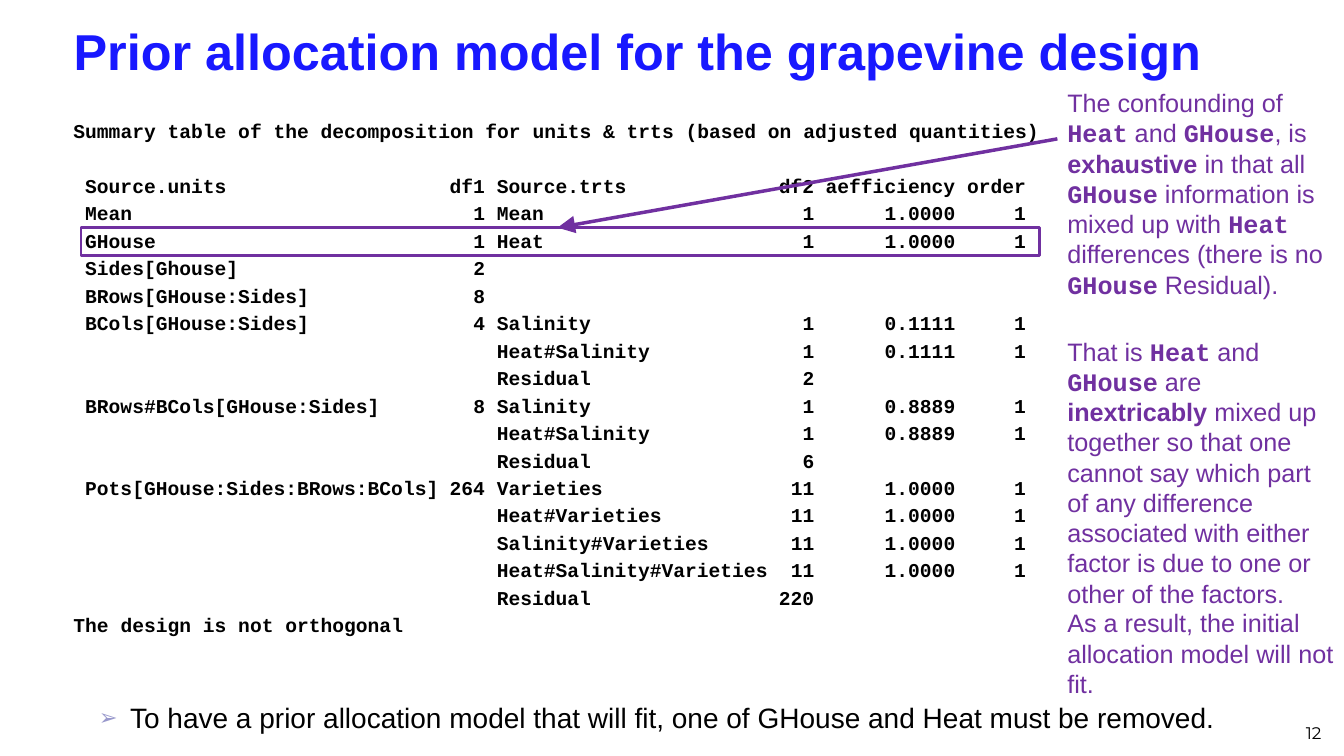
import pptx
import pptx.util
import pptx.dml.color
import pptx.enum.shapes
import pptx.enum.text
import pptx.oxml
import pptx.oxml.ns

Pt = pptx.util.Pt
ALIGN = pptx.enum.text.PP_ALIGN
ANCHOR = pptx.enum.text.MSO_ANCHOR

TITLE = "Prior allocation model for the grapevine design"
CAPTION = "Summary table of the decomposition for units & trts (based on adjusted quantities)"
ROWS = [
    ("Source.units", "df1", "Source.trts", "df2", "aefficiency", "order"),
    ("Mean", "1", "Mean", "1", "1.0000", "1"),
    ("GHouse", "1", "Heat", "1", "1.0000", "1"),
    ("Sides[Ghouse]", "2"),
    ("BRows[GHouse:Sides]", "8"),
    ("BCols[GHouse:Sides]", "4", "Salinity", "1", "0.1111", "1"),
    ("", "", "Heat#Salinity", "1", "0.1111", "1"),
    ("", "", "Residual", "2"),
    ("BRows#BCols[GHouse:Sides]", "8", "Salinity", "1", "0.8889", "1"),
    ("", "", "Heat#Salinity", "1", "0.8889", "1"),
    ("", "", "Residual", "6"),
    ("Pots[GHouse:Sides:BRows:BCols]", "264", "Varieties", "11", "1.0000", "1"),
    ("", "", "Heat#Varieties", "11", "1.0000", "1"),
    ("", "", "Salinity#Varieties", "11", "1.0000", "1"),
    ("", "", "Heat#Salinity#Varieties", "11", "1.0000", "1"),
    ("", "", "Residual", "220"),
]
FOOTNOTE = "The design is not orthogonal"
TAB_COLUMNS = [(1, "l"), (35, "r"), (36, "l"), (63, "r"), (75, "r"), (81, "r")]
BULLET = "To have a prior allocation model that will fit, one of GHouse and Heat must be removed."
NOTES = [
    (59, 160, [("The confounding of ", ""), ("Heat", "code"), (" and ", ""),
               ("GHouse", "code"), (", is ", ""), ("exhaustive", "strong"),
               (" in that all ", ""), ("GHouse", "code"),
               (" information is mixed up with ", ""), ("Heat", "code"),
               (" differences (there is no ", ""), ("GHouse", "code"),
               (" Residual).", "")]),
    (236.5, 204, [("That is ", ""), ("Heat", "code"), (" and ", ""),
                  ("GHouse", "code"), (" are ", ""), ("inextricably", "strong"),
                  (" mixed up together so that one cannot say which part of any "
                   "difference associated with either factor is due to one or "
                   "other of the factors.", "")]),
    (430.5, 73, [("As a result, the initial allocation model will not fit.", "")]),
]
COLORS = {"title": "1818FF", "text": "000000", "accent": "7030A0", "bullet": "9999CC"}
SANS, MONO, NUMBER = "Arial", "Courier New", "Montserrat"
TABLE_SIZE = 14
CHAR = TABLE_SIZE * 0.6
LINE = TABLE_SIZE * 1.2
GAP = TABLE_SIZE * 0.2


def rgb(name):
    return pptx.dml.color.RGBColor.from_string(COLORS[name])


def style(r, size, color, face=SANS, bold=False):
    r.font.size = Pt(size)
    r.font.name = face
    r.font.bold = bold
    r.font.color.rgb = rgb(color)


def place(sp, left, top, width, height, anchor=ANCHOR.TOP):
    sp.left, sp.top, sp.width, sp.height = Pt(left), Pt(top), Pt(width), Pt(height)
    tf = sp.text_frame
    tf.word_wrap = True
    tf.auto_size = pptx.enum.text.MSO_AUTO_SIZE.NONE
    tf.vertical_anchor = anchor
    return tf


def add_box(s, *bounds):
    return place(s.shapes.add_textbox(0, 0, 0, 0), *bounds)


def add_xml(parent, tag, **attrs):
    el = pptx.oxml.parse_xml(f"<a:{tag} {pptx.oxml.ns.nsdecls('a')}/>")
    for key, value in attrs.items():
        el.set(key, str(value))
    parent.append(el)
    return el


def fill_table(tf):
    lines = [CAPTION] + ["\t" + "\t".join(row) for row in ROWS] + [FOOTNOTE]
    tf.text = "\n".join(lines)
    for i, p in enumerate(tf.paragraphs):
        tabs = add_xml(p._p.get_or_add_pPr(), "tabLst")
        for column, side in TAB_COLUMNS:
            add_xml(tabs, "tab", pos=Pt(column * CHAR), algn=side)
        p.space_before = Pt((0, LINE + 2 * GAP)[i] if i < 2 else GAP)
        for r in p.runs:
            style(r, TABLE_SIZE, "text", MONO, True)


def fill_bullet(tf):
    tf.text = BULLET
    p = tf.paragraphs[0]
    pPr = p._p.get_or_add_pPr()
    pPr.set("marL", str(Pt(58.3)))
    pPr.set("indent", str(Pt(-22.3)))
    color = add_xml(pPr, "buClr")
    add_xml(color, "srgbClr", val=COLORS["bullet"])
    add_xml(pPr, "buSzPct", val=80000)
    add_xml(pPr, "buFont", typeface=SANS)
    add_xml(pPr, "buChar", char="➢")
    p.space_before = Pt(0)
    style(p.runs[0], 20, "text")


def add_note(s, top, height, parts):
    p = add_box(s, 755.3, top, 204.5, height).paragraphs[0]
    for text, kind in parts:
        r = p.add_run()
        r.text = text
        style(r, 18, "accent", MONO if kind == "code" else SANS, kind != "")


def main():
    prs = pptx.Presentation()
    prs.slide_width, prs.slide_height = Pt(960), Pt(540)
    s = prs.slides.add_slide(prs.slide_layouts[1])

    tf = place(s.shapes.title, 45.4, 7.4, 907, 57, ANCHOR.MIDDLE)
    tf.text = TITLE
    tf.paragraphs[0].alignment = ALIGN.LEFT
    style(tf.paragraphs[0].runs[0], 36, "title", bold=True)

    fill_bullet(place(s.placeholders[1], 27.4, 496.8, 907, 42))
    fill_table(add_box(s, 45.4, 81.4, 873, 378))

    tf = add_box(s, 727, 498, 224, 36, ANCHOR.BOTTOM)
    tf.text = "12"
    tf.paragraphs[0].alignment = ALIGN.RIGHT
    style(tf.paragraphs[0].runs[0], 12, "text", NUMBER)

    frame = s.shapes.add_shape(pptx.enum.shapes.MSO_SHAPE.RECTANGLE,
                               Pt(57.8), Pt(162.6), Pt(684.7), Pt(20))
    frame.shadow.inherit = False
    frame.fill.background()
    frame.line.color.rgb = rgb("accent")
    frame.line.width = Pt(2)

    arrow = s.shapes.add_connector(pptx.enum.shapes.MSO_CONNECTOR.STRAIGHT,
                                   Pt(755.3), Pt(99.2), Pt(398.3), Pt(162.6))
    arrow.line.color.rgb = rgb("accent")
    arrow.line.width = Pt(2.5)
    add_xml(arrow.line._get_or_add_ln(), "tailEnd", type="triangle", w="lg", len="lg")
    add_xml(arrow._element.spPr, "effectLst")

    for note in NOTES:
        add_note(s, *note)

    prs.save("out.pptx")


if __name__ == "__main__":
    main()
